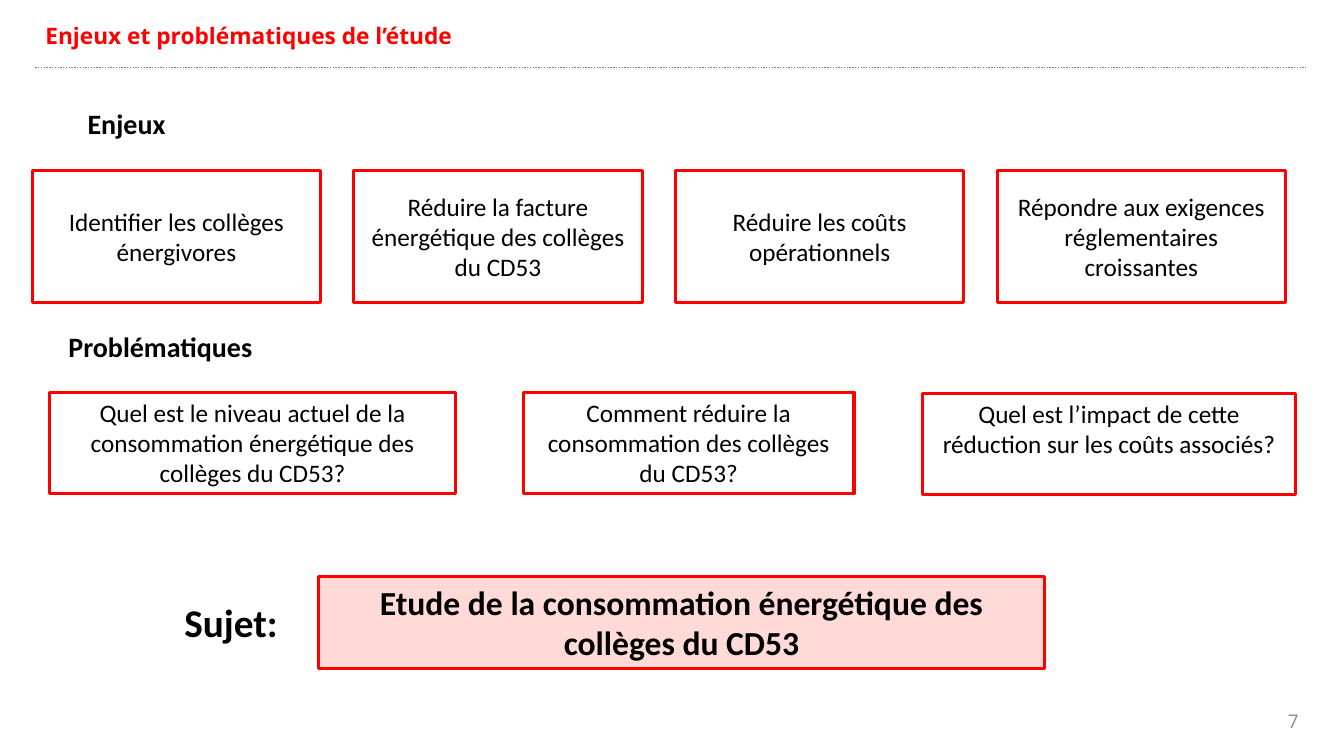
from dataclasses import dataclass

from lxml import etree
from pptx import Presentation
from pptx.dml.color import RGBColor
from pptx.enum.dml import MSO_LINE
from pptx.enum.shapes import MSO_CONNECTOR, MSO_SHAPE
from pptx.enum.text import MSO_ANCHOR, MSO_AUTO_SIZE, PP_ALIGN
from pptx.oxml.ns import qn
from pptx.util import Inches, Pt

RED = RGBColor(0xFF, 0x00, 0x00)
PINK = RGBColor(0xFF, 0xDA, 0xD7)
BLACK = RGBColor(0x00, 0x00, 0x00)
RULE_GRAY = RGBColor(0x83, 0x76, 0x71)
NUMBER_GRAY = RGBColor(0x8C, 0x8C, 0x8C)

LEFT, CENTER, RIGHT = PP_ALIGN.LEFT, PP_ALIGN.CENTER, PP_ALIGN.RIGHT
TOP, MIDDLE = MSO_ANCHOR.TOP, MSO_ANCHOR.MIDDLE
DOTTED = MSO_LINE.ROUND_DOT
STRAIGHT = MSO_CONNECTOR.STRAIGHT
RECTANGLE = MSO_SHAPE.RECTANGLE
NO_AUTO_SIZE = MSO_AUTO_SIZE.NONE

# Grid of tenths of an inch
COLUMNS, ROWS = 133.3, 75


@dataclass(frozen=True)
class Area:
    column: float
    row: float
    columns: float
    rows: float


@dataclass(frozen=True)
class TextStyle:
    size: float
    bold: bool = False
    color: RGBColor = BLACK
    font: str = "Calibri"
    alignment: PP_ALIGN = LEFT
    anchor: MSO_ANCHOR = TOP
    wrap: bool = True


@dataclass(frozen=True)
class Label:
    text: str
    area: Area
    style: TextStyle


@dataclass(frozen=True)
class Card:
    text: str
    area: Area
    style: TextStyle
    fill: RGBColor | None = None


TITLE = TextStyle(16.2, True, RED, "Open Sans", anchor=MIDDLE)
NUMBER = TextStyle(13.5, color=NUMBER_GRAY, font="Open Sans",
                   alignment=RIGHT, anchor=MIDDLE)
HEADING = TextStyle(20, True, wrap=False)
SUBJECT_HEADING = TextStyle(28, True, wrap=False)
ISSUE = TextStyle(18, alignment=CENTER, anchor=MIDDLE)
QUESTION = TextStyle(18, alignment=CENTER)
SUBJECT = TextStyle(24, True, alignment=CENTER)

ISSUE_TEXTS = (
    "Identifier les collèges énergivores",
    "Réduire la facture énergétique des collèges du CD53",
    "Réduire les coûts opérationnels",
    "Répondre aux exigences réglementaires croissantes",
)
ISSUE_STEP = 31.9

LABELS = (
    Label("Enjeux", Area(7.7, 10.1, 9.8, 4.4), HEADING),
    Label("Problématiques", Area(5.8, 32.2, 20.4, 4.4), HEADING),
    Label("Sujet:", Area(17.3, 58.9, 11.4, 5.7), SUBJECT_HEADING),
    Label("7", Area(94.2, 69.5, 35.6, 4), NUMBER),
)
CARDS = (
    *(Card(text, Area(3.2 + index * ISSUE_STEP, 16.9, 28.6, 13.1), ISSUE)
      for index, text in enumerate(ISSUE_TEXTS)),
    Card("Quel est le niveau actuel de la consommation énergétique des "
         "collèges du CD53?", Area(4.9, 38.9, 40.3, 10.1), QUESTION),
    Card("Comment réduire la consommation des collèges du CD53?",
         Area(51.9, 38.9, 32.8, 10.1), QUESTION),
    Card("Quel est l’impact de cette réduction sur les coûts associés?",
         Area(91.5, 39, 37, 10.1), QUESTION),
    Card("Etude de la consommation énergétique des collèges du CD53",
         Area(31.6, 57.2, 72, 9.1), SUBJECT, PINK),
)


def grid(cells: float) -> int:
    return Inches(cells / 10)


def place(area: Area) -> tuple[int, int, int, int]:
    return (grid(area.column), grid(area.row),
            grid(area.columns), grid(area.rows))


def write(shape, text: str, style: TextStyle) -> None:
    frame = shape.text_frame
    frame.text = text
    frame_format = {"word_wrap": style.wrap, "auto_size": NO_AUTO_SIZE,
                    "vertical_anchor": style.anchor}
    for name, value in frame_format.items():
        setattr(frame, name, value)
    paragraph = frame.paragraphs[0]
    paragraph.alignment = style.alignment
    font = paragraph.runs[0].font
    font_format = {"name": style.font, "size": Pt(style.size),
                   "bold": style.bold}
    for name, value in font_format.items():
        setattr(font, name, value)
    font.color.rgb = style.color


def add_title(slide, text: str, area: Area) -> None:
    title = slide.shapes.title
    title.left, title.top, title.width, title.height = place(area)
    write(title, text, TITLE)
    title.text_frame.paragraphs[0].line_spacing = 0.9


def add_rule(slide, start: float, end: float, row: float) -> None:
    rule = slide.shapes.add_connector(
        STRAIGHT, grid(start), grid(row), grid(end), grid(row))
    rule.line.color.rgb = RULE_GRAY
    rule.line.width = Pt(1)
    rule.line.dash_style = DOTTED
    etree.SubElement(rule.element.spPr, qn("a:effectLst"))


def add_label(slide, label: Label) -> None:
    box = slide.shapes.add_textbox(*place(label.area))
    write(box, label.text, label.style)


def add_card(slide, card: Card) -> None:
    shape = slide.shapes.add_shape(RECTANGLE, *place(card.area))
    shape.shadow.inherit = False
    if card.fill is None:
        shape.fill.background()
    else:
        shape.fill.solid()
        shape.fill.fore_color.rgb = card.fill
    shape.line.color.rgb = RED
    shape.line.width = Pt(2.25)
    write(shape, card.text, card.style)


def main() -> None:
    presentation = Presentation()
    presentation.slide_width = grid(COLUMNS)
    presentation.slide_height = grid(ROWS)
    title_only = presentation.slide_layouts[5]
    slide = presentation.slides.add_slide(title_only)

    # Header
    add_title(slide, "Enjeux et problématiques de l’étude",
              Area(3.5, 1.9, 121.1, 3.5))
    add_rule(slide, 3.5, 129.5, 6.7)

    # Headings, page number and framed statements
    for label in LABELS:
        add_label(slide, label)
    for card in CARDS:
        add_card(slide, card)

    presentation.save("out.pptx")


if __name__ == "__main__":
    main()
